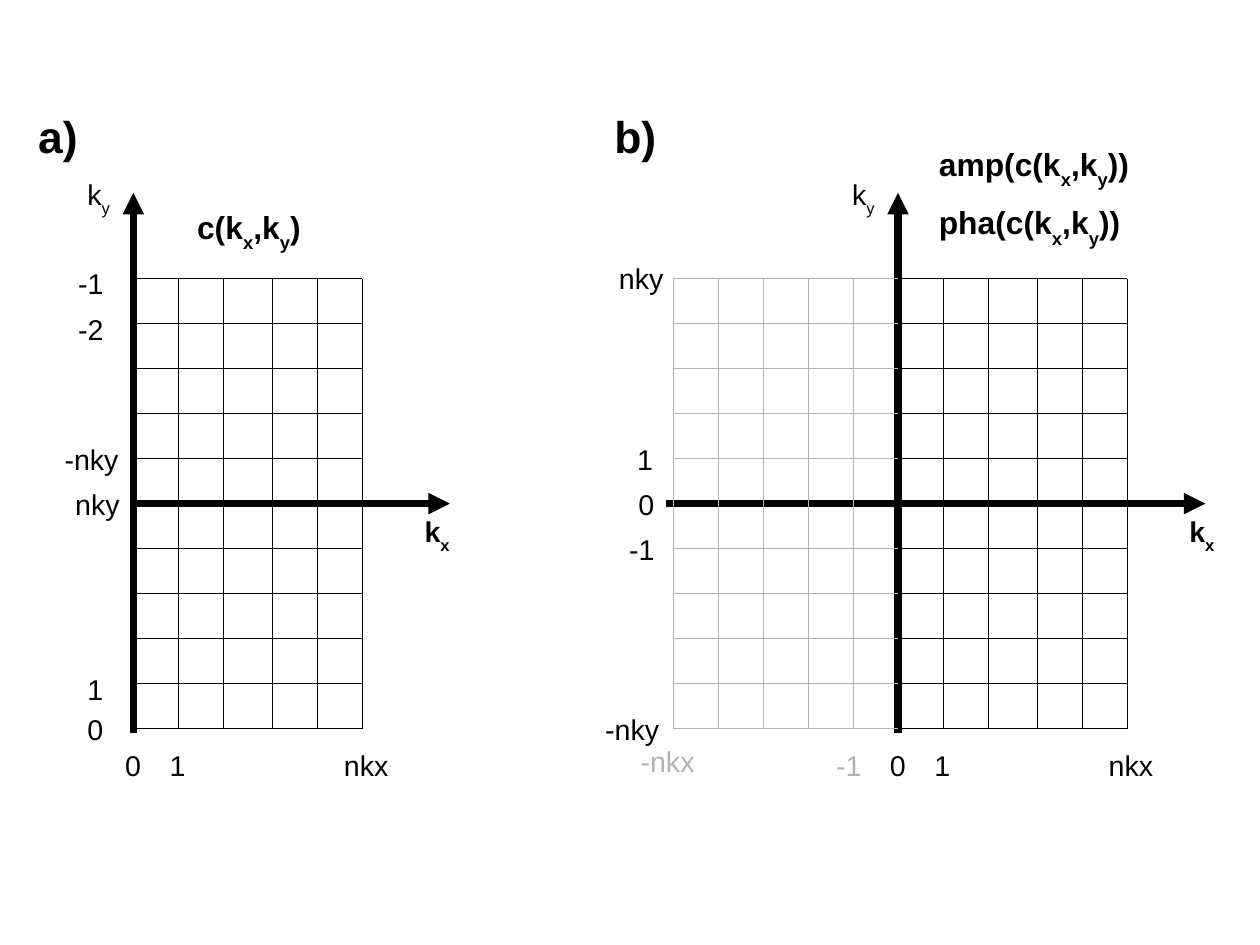
from pptx import Presentation
from pptx.dml.color import RGBColor
from pptx.enum import shapes as sh, text as tx
from pptx.oxml import xmlchemy as xc
from pptx.util import Pt

BLACK = RGBColor(0, 0, 0)
GREY = RGBColor(0xB3, 0xB3, 0xB3)
STEP, ROWS, COLS = 28.35, 10, 5   # grid cell and count
WIDE, HIGH = 144.3, ROWS * STEP   # extent of a black grid
MID = HIGH / 2                    # height of the kx axis
TICK = 292.3                      # top of the labels below a grid


def line(slide, start, end, color=BLACK, width=0.25, arrow=False):
    con = slide.shapes.add_connector(
        sh.MSO_CONNECTOR.STRAIGHT, *(Pt(v) for v in (*start, *end)))
    con.line.color.rgb = color
    con.line.width = Pt(width)
    if arrow:
        tail = xc.OxmlElement("a:tailEnd")
        tail.set("type", "triangle")
        con.line._get_or_add_ln().append(tail)
    con._element.spPr.append(xc.OxmlElement("a:effectLst"))


def label(slide, words, left, top, size=18, bold=False, color=BLACK):
    """Write text; the letter after each underscore is a subscript."""
    wide = 0.5 * size * len(words) + 16
    box = slide.shapes.add_textbox(Pt(left), Pt(top), Pt(wide), Pt(1.5 * size))
    frame = box.text_frame
    look = {"word_wrap": True, "vertical_anchor": tx.MSO_ANCHOR.TOP,
            "margin_left": Pt(7.2), "margin_right": 0,
            "margin_top": Pt(3.6), "margin_bottom": Pt(3.6)}
    for key, val in look.items():
        setattr(frame, key, val)
    head, *rest = words.split("_")
    runs = [(head, False)]
    for part in rest:
        runs += [(part[0], True), (part[1:], False)]
    for part, sub in runs:
        if not part:
            continue
        run = frame.paragraphs[0].add_run()
        run.text = part
        for key, val in {"name": "Arial", "size": Pt(size), "bold": bold}.items():
            setattr(run.font, key, val)
        run.font.color.rgb = color
        if sub:
            run._r.get_or_add_rPr().set("baseline", "-33000")


def grid(slide, x, y, span, cols, rows, color):
    for row in rows:
        at = y + row * STEP
        line(slide, (x + span[0], at), (x + span[1], at), color)
    for col in cols:
        line(slide, (x + col, y + HIGH), (x + col, y), color)


def panel(slide, x, y, name, axis, marks, forms, mirror=False):
    """Draw one diagram; x, y is where the ky axis meets the grid's top."""
    # Axes
    line(slide, (x + axis[0], y + MID), (x + axis[1], y + MID),
         width=4.5, arrow=True)
    line(slide, (x, y + HIGH + 3), (x, y - 54), width=4.5, arrow=True)

    # Grids: the columns leave one wider gap in the middle
    cols = [STEP, 2 * STEP] + [WIDE - k * STEP for k in (2, 1, 0)]
    grid(slide, x, y, (2.2, WIDE), cols, range(ROWS + 1), BLACK)
    if mirror:
        cols = [-k * STEP for k in range(1, COLS + 1)]
        rows = [r for r in range(ROWS + 1) if r != ROWS // 2]
        grid(slide, x, y, (-COLS * STEP, 0), cols, rows, GREY)
        label(slide, "-1", x - 46.1, y + TICK, color=GREY)
        label(slide, "-nkx", x - 169.2, y + TICK - 2.9, color=GREY)

    # Axis names and marks
    label(slide, "k_y", x - 36, y - 67.7)
    label(slide, "k_x", x + 176.4, y + 144.7, bold=True)
    for words, dx in (("0", -12.2), ("1", 15.8), ("nkx", 125.6)):
        label(slide, words, x + dx, y + TICK)
    for words, dx, dy in marks:
        label(slide, words, x + dx, y + dy)

    # Panel letter and formulas
    words, dx = name
    label(slide, words, x + dx, y - 110.2, size=28, bold=True)
    for words, dx, dy in forms:
        label(slide, words, x + dx, y + dy, size=20, bold=True)


deck = Presentation()
deck.slide_width, deck.slide_height = Pt(793.75), Pt(595.25)
page = deck.slides.add_slide(deck.slide_layouts[6])

panel(page, 84, 175.5, ("a)", -67), (0.7, 199.4),
      marks=[("-1", -41.8, -11.5), ("-2", -41.8, 17.3), ("-nky", -50.4, 99.3),
             ("nky", -43.7, 127.4), ("1", -36, 244), ("0", -36, 269.3)],
      forms=[("c(k_x,k_y)", 33.1, -48.3)])
panel(page, 565.7, 175.5, ("b)", -185.8), (-146.2, 193.7),
      marks=[("nky", -182.9, -14.4), ("1", -171.4, 99.3), ("0", -170.6, 127.4),
             ("-1", -176.4, 156.2), ("-nky", -191.5, 269.3)],
      forms=[("amp(c(k_x,k_y))", 18.7, -87.9), ("pha(c(k_x,k_y))", 18.7, -51.1)],
      mirror=True)

deck.save("out.pptx")
